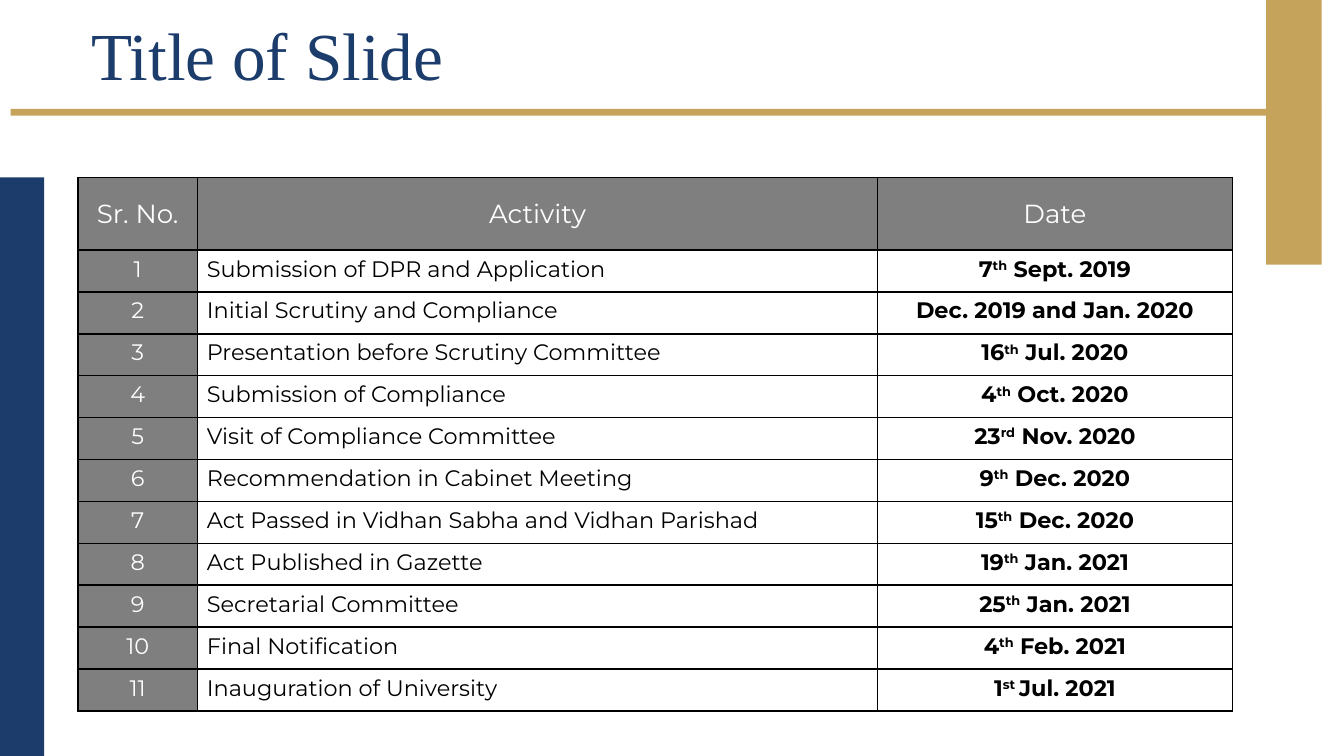
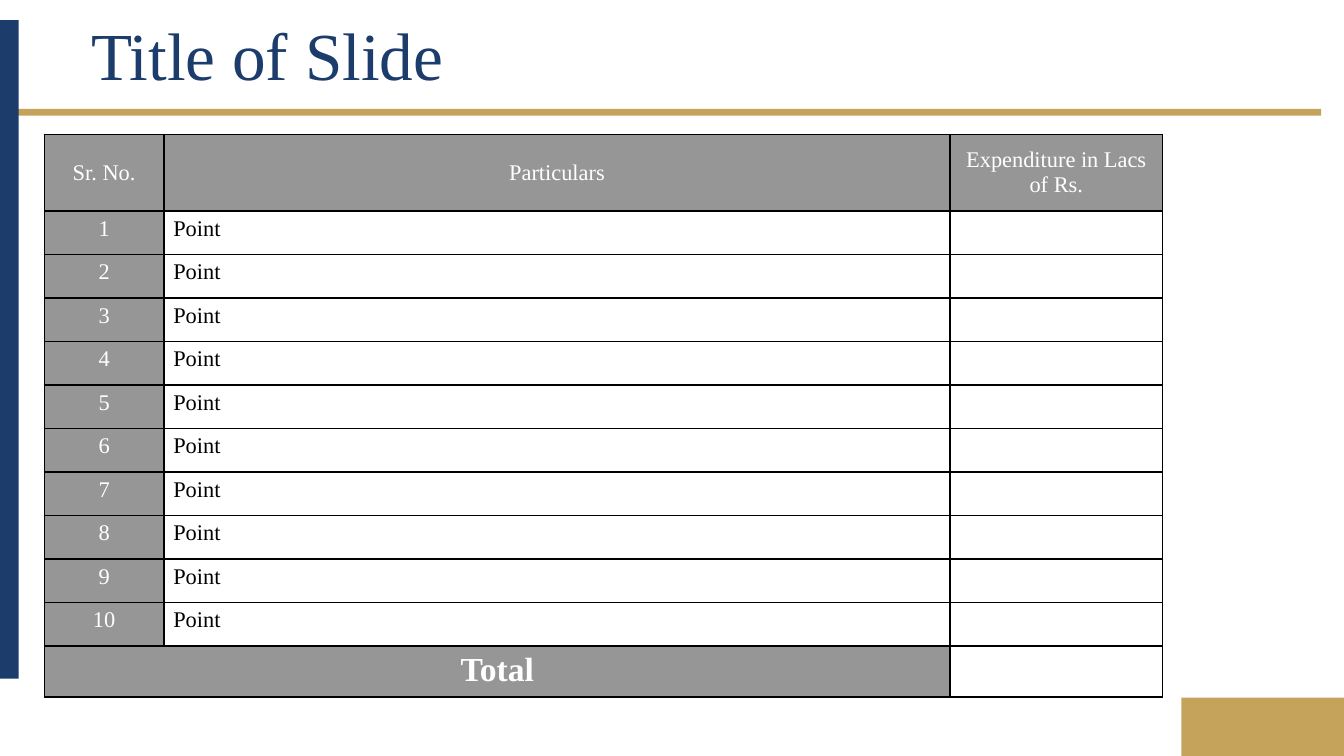
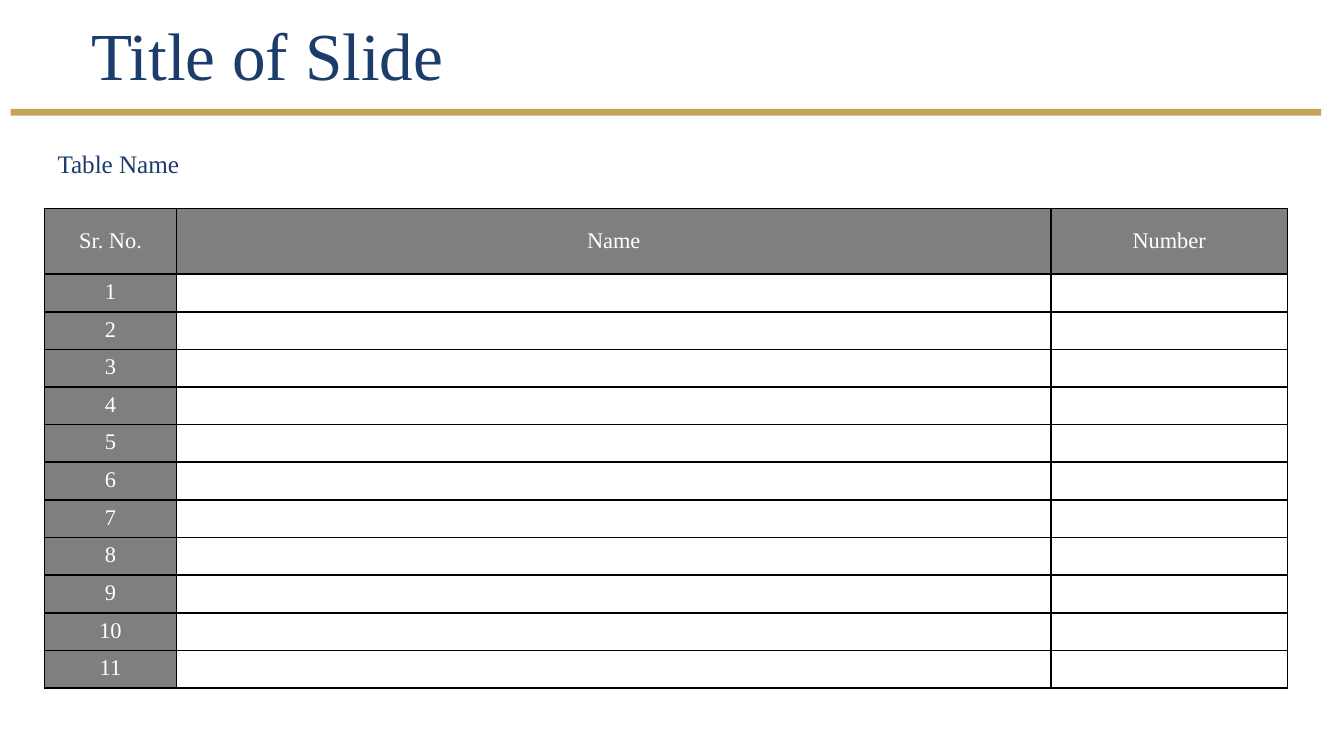
from lxml.etree import SubElement
from pptx import Presentation
from pptx.dml.color import RGBColor
from pptx.enum.shapes import MSO_SHAPE
from pptx.enum.text import MSO_ANCHOR, MSO_AUTO_SIZE, PP_ALIGN
from pptx.oxml.ns import qn
from pptx.util import Inches, Pt

# Shared colours and fonts
NAVY = RGBColor(0x1C, 0x3C, 0x6B)
GOLD = RGBColor(0xC5, 0xA3, 0x5B)
DARK_GREY = RGBColor(0x7F, 0x7F, 0x7F)
MID_GREY = RGBColor(0x96, 0x96, 0x96)
WHITE = RGBColor(0xFF, 0xFF, 0xFF)
BLACK = RGBColor(0, 0, 0)
SERIF = "Times New Roman"
SANS = "Montserrat"


class Deck:
    """Holds the style and the current slide; lengths are in grid units."""

    COLUMNS, ROWS = 100, 56.25
    BORDERS = ("a:lnL", "a:lnR", "a:lnT", "a:lnB")

    def __init__(self):
        self.presentation = Presentation()
        self.presentation.slide_width = Inches(10)
        self.presentation.slide_height = Inches(5.625)
        self.unit = self.presentation.slide_width / self.COLUMNS
        self.slide = None

    def grid(self, *lengths):
        return [round(length * self.unit) for length in lengths]

    def start_slide(self):
        self.slide = self.presentation.slides.add_slide(self.presentation.slide_layouts[6])
        self.bar(0.8, 8.1, 97.5, 0.5, GOLD)

    def bar(self, left, top, width, height, color):
        shape = self.slide.shapes.add_shape(
            MSO_SHAPE.RECTANGLE, *self.grid(left, top, width, height))
        shape.shadow.inherit = False
        shape.fill.solid()
        shape.fill.fore_color.rgb = color
        shape.line.fill.background()

    def style(self, paragraph, size, font, color, bold=False):
        paragraph.font.size = Pt(size)
        paragraph.font.name = font
        paragraph.font.color.rgb = color
        paragraph.font.bold = bold

    def text(self, words, left, top, width, height, size):
        shape = self.slide.shapes.add_textbox(*self.grid(left, top, width, height))
        frame = shape.text_frame
        frame.word_wrap = True
        paragraph = frame.paragraphs[0]
        paragraph.text = words
        self.style(paragraph, size, SERIF, NAVY)
        return frame

    def title(self, words):
        frame = self.text(words, 5.8, 1.5, 94.2, 5, 36)
        frame.vertical_anchor = MSO_ANCHOR.MIDDLE

    def caption(self, words):
        frame = self.text(words, 3.3, 10.1, 67.4, 3.5, 13.5)
        frame.paragraphs[0].line_spacing = 1.2
        frame.auto_size = MSO_AUTO_SIZE.SHAPE_TO_FIT_TEXT

    def cell(self, cell, words, size, font, fill=None, bold=False, centred=True):
        cell.margin_left = cell.margin_right = Inches(0.07)
        cell.margin_top = cell.margin_bottom = Inches(0.04)
        paragraph = cell.text_frame.paragraphs[0]
        paragraph.alignment = PP_ALIGN.CENTER if centred else PP_ALIGN.LEFT
        self.style(paragraph, size, font, WHITE if fill else BLACK, bold)
        # Text between carets is superscript
        for index, part in enumerate(words.split("^") if words else []):
            run = paragraph.add_run()
            run.text = part
            if index % 2:
                run._r.get_or_add_rPr().set("baseline", "30000")
        if not words:
            SubElement(paragraph._p, qn("a:endParaRPr"), sz=str(size * 100))
        # Borders come before the fill in the cell properties
        properties = cell._tc.get_or_add_tcPr()
        for name in self.BORDERS:
            line = SubElement(properties, qn(name), w=str(Pt(1)))
            solid = SubElement(line, qn("a:solidFill"))
            SubElement(solid, qn("a:srgbClr"), val=str(BLACK))
        if fill:
            cell.fill.solid()
            cell.fill.fore_color.rgb = fill
        else:
            cell.fill.background()

    def table(self, left, top, widths, height, header_height, header, body,
              fill, font=SERIF, header_size=12, total=None, total_height=0):
        """Number the body rows and share the remaining height among them."""
        row_count = 1 + len(body) + bool(total)
        shape = self.slide.shapes.add_table(
            row_count, len(widths), *self.grid(left, top, sum(widths), height))
        table = shape.table
        table.first_row = table.horz_banding = False
        for column, width in zip(table.columns, self.grid(*widths)):
            column.width = width
        body_height = (height - header_height - total_height) / len(body)
        heights = [header_height] + [body_height] * len(body) + [total_height]
        for row, row_height in zip(table.rows, self.grid(*heights)):
            row.height = row_height

        for index, words in enumerate(header):
            cell = table.cell(0, index)
            self.cell(cell, words, header_size, font, fill)
            cell.vertical_anchor = MSO_ANCHOR.MIDDLE
        for number, (activity, value) in enumerate(body, 1):
            self.cell(table.cell(number, 0), str(number), 12, font, fill)
            self.cell(table.cell(number, 1), activity, 12, font, centred=False)
            self.cell(table.cell(number, 2), value, 12, font, bold=bool(value))
        if total:
            last = row_count - 1
            table.cell(last, 0).merge(table.cell(last, 1))
            self.cell(table.cell(last, 0), total, 18, font, fill, bold=True)
            self.cell(table.cell(last, 1), "", 12, font, fill)
            self.cell(table.cell(last, 2), "", 12, font)


MILESTONES = [
    ("Submission of DPR and Application", "7^th^ Sept. 2019"),
    ("Initial Scrutiny and Compliance", "Dec. 2019 and Jan. 2020"),
    ("Presentation before Scrutiny Committee", "16^th^ Jul. 2020"),
    ("Submission of Compliance", "4^th^ Oct. 2020"),
    ("Visit of Compliance Committee", "23^rd^ Nov. 2020"),
    ("Recommendation in Cabinet Meeting", "9^th^ Dec. 2020"),
    ("Act Passed in Vidhan Sabha and Vidhan Parishad", "15^th^ Dec. 2020"),
    ("Act Published in Gazette", "19^th^ Jan. 2021"),
    ("Secretarial Committee", "25^th^ Jan. 2021"),
    ("Final Notification", "4^th^ Feb. 2021"),
    ("Inauguration of University", "1^st ^Jul. 2021"),
]
TITLE = "Title of Slide"

deck = Deck()

# Slide 1: dated activities
deck.start_slide()
deck.bar(0, 13.2, 3.3, deck.ROWS - 13.2, NAVY)
deck.bar(94.2, 0, 4.15, 19.7, GOLD)
deck.table(5.8, 13.2, (8.9, 50.6, 26.4), 39.7, 5.4, ("Sr. No.", "Activity", "Date"),
           MILESTONES, DARK_GREY, SANS, header_size=14)
deck.title(TITLE)

# Slide 2: expenditure with a total
deck.start_slide()
deck.bar(0, 1.5, 1.4, 49, NAVY)
deck.bar(87.9, 51.9, 12.1, deck.ROWS - 51.9, GOLD)
deck.table(3.3, 10, (8.9, 58.5, 15.8), 41.9, 5.7,
           ("Sr. No.", "Particulars", "Expenditure in Lacs of Rs."),
           [("Point", "")] * 10, MID_GREY, total="Total", total_height=3.8)
deck.title(TITLE)

# Slide 3: named table to fill in
deck.start_slide()
deck.caption("Table Name")
deck.table(3.3, 15.5, (9.85, 65.05, 17.6), 35.7, 4.9, ("Sr. No.", "Name", "Number"),
           [("", "")] * 11, DARK_GREY)
deck.title(TITLE)

deck.presentation.save("out.pptx")
